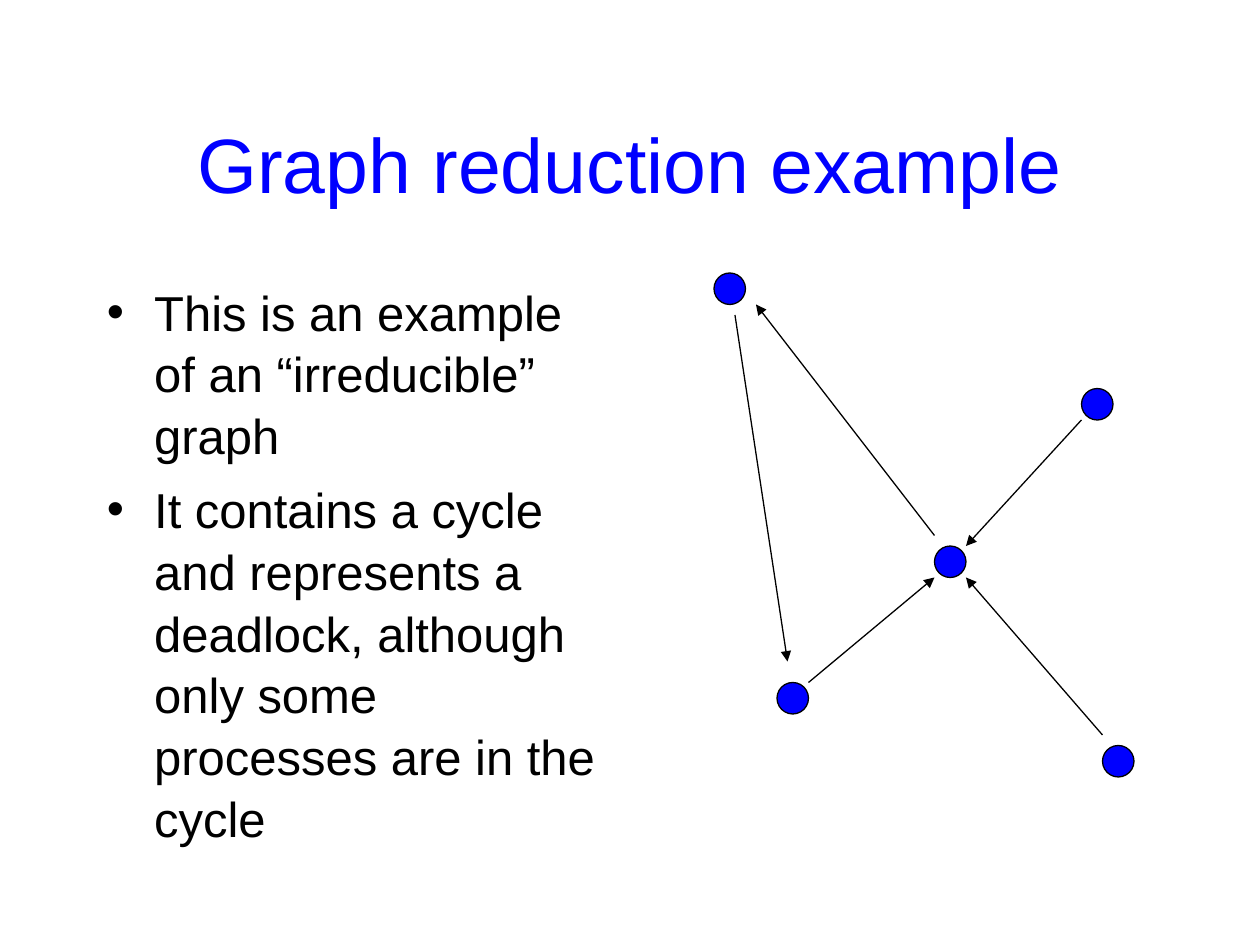
from lxml.etree import SubElement
from pptx import Presentation
from pptx.dml.color import RGBColor
from pptx.enum.shapes import MSO_CONNECTOR, MSO_SHAPE
from pptx.enum.text import MSO_ANCHOR, PP_ALIGN
from pptx.oxml.ns import qn
from pptx.util import Emu, Pt

PX = 7620  # 120 px to the inch
BLUE, BLACK = "0000FF", "000000"
NODE = 30

TITLE = "Graph reduction example"
POINTS = [
    "This is an example of an “irreducible” graph",
    "It contains a cycle and represents a deadlock, although only some "
    "processes are in the cycle",
]
NODES = {
    "top": (0, 0),
    "right": (350, 110),
    "hub": (210, 260),
    "bottom": (60, 390),
    "corner": (370, 450),
}
# Each end is a node and an offset from that node's top left corner
EDGES = [
    (("bottom", 30, 0), ("hub", 0, 30)),
    (("right", 0, 30), ("hub", 30, 0)),
    (("corner", 0, -10), ("hub", 30, 30)),
    (("top", 20, 40), ("bottom", 10, -20)),
    (("hub", 0, -10), ("top", 40, 30)),
]


def px(*lengths):
    return [Emu(length * PX) for length in lengths]


def color(value):
    return RGBColor.from_string(value)


def style(font, size, value):
    for key, setting in {"name": "Arial", "size": Pt(size), "bold": False}.items():
        setattr(font, key, setting)
    font.color.rgb = color(value)


def add_title(slide, box):
    title = slide.shapes.title
    title.left, title.top, title.width, title.height = px(*box)
    frame = title.text_frame
    frame.text = TITLE
    frame.word_wrap = True
    frame.vertical_anchor = MSO_ANCHOR.MIDDLE
    heading = frame.paragraphs[0]
    heading.alignment = PP_ALIGN.CENTER
    style(heading.font, 44, BLUE)


def add_bullet(paragraph, indent):
    props = paragraph._p.get_or_add_pPr()
    props.set("marL", str(indent * PX))
    props.set("indent", str(-indent * PX))
    bullet_color = SubElement(props, qn("a:buClr"))
    SubElement(bullet_color, qn("a:srgbClr"), val=BLACK)
    SubElement(props, qn("a:buFont"), typeface="Arial")
    SubElement(props, qn("a:buChar"), char="•")


def add_points(slide, box):
    frame = slide.shapes.add_textbox(*px(*box)).text_frame
    frame.word_wrap = True
    for number, point in enumerate(POINTS):
        paragraph = frame.add_paragraph() if number else frame.paragraphs[0]
        paragraph.text = point
        add_bullet(paragraph, 45)
        paragraph.line_spacing = 1.05
        paragraph.space_before = Pt(7 if number else 0)
        style(paragraph.font, 28, BLACK)


def add_node(slide, x, y):
    node = slide.shapes.add_shape(MSO_SHAPE.OVAL, *px(x, y, NODE, NODE))
    node.shadow.inherit = False
    node.fill.solid()
    node.fill.fore_color.rgb = color(BLUE)
    node.line.color.rgb = color(BLACK)
    node.line.width = Pt(0.75)


def add_arrow(slide, start, end):
    arrow = slide.shapes.add_connector(MSO_CONNECTOR.STRAIGHT, *px(*start, *end))
    arrow.line.color.rgb = color(BLACK)
    arrow.line.width = Pt(0.75)
    SubElement(arrow.line._get_or_add_ln(), qn("a:tailEnd"), type="triangle")
    SubElement(arrow._element.spPr, qn("a:effectLst"))


def add_graph(slide, left, top):
    def place(node, dx=0, dy=0):
        x, y = NODES[node]
        return left + x + dx, top + y + dy

    for node in NODES:
        add_node(slide, *place(node))
    for start, end in EDGES:
        add_arrow(slide, place(*start), place(*end))


def main():
    deck = Presentation()
    deck.slide_width, deck.slide_height = px(1200, 900)
    slide = deck.slides.add_slide(deck.slide_layouts[5])
    add_title(slide, (90, 80, 1020, 150))
    add_points(slide, (90, 260, 500, 540))
    add_graph(slide, 680, 260)
    deck.save("out.pptx")


if __name__ == "__main__":
    main()
